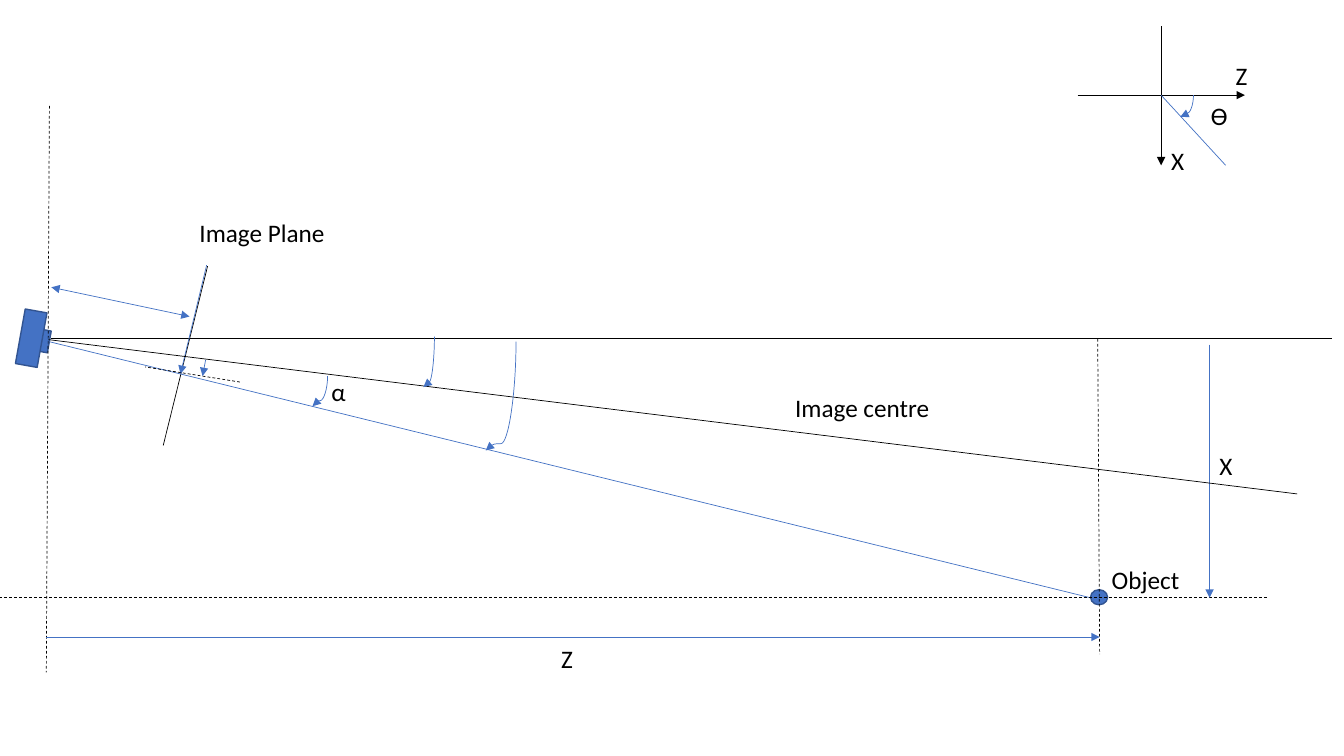
"""Draw the geometry of a tilted camera that sees an object at depth Z and offset X."""
from typing import NamedTuple

from lxml import etree
from pptx import Presentation
from pptx.dml.color import RGBColor
from pptx.enum.dml import MSO_LINE
from pptx.enum.shapes import MSO_CONNECTOR, MSO_SHAPE
from pptx.oxml.ns import qn
from pptx.util import Pt

STRAIGHT, CURVE = MSO_CONNECTOR.STRAIGHT, MSO_CONNECTOR.CURVE
RECTANGLE, OVAL = MSO_SHAPE.RECTANGLE, MSO_SHAPE.OVAL
DASH = MSO_LINE.DASH
COLORS = {"black": "000000", "blue": "4472C4", "outline": "325491"}
FONT = "Calibri"
TEXT_SIZE = 18
LABEL_HEIGHT = 28.8
THIN = 0.5
QUARTER_TURN = 90 * 60000


class Label(NamedTuple):
    text: str
    left: float
    top: float
    width: float
    inset: float = 7.2


class Solid(NamedTuple):
    kind: MSO_SHAPE
    left: float
    top: float
    width: float
    height: float
    tilt: float = 0


class Line(NamedTuple):
    x1: float
    y1: float
    x2: float
    y2: float
    color: str = "black"
    dashed: bool = False
    ends: tuple = ()


class Arc(NamedTuple):
    x1: float
    y1: float
    x2: float
    y2: float
    bend: int


ARROW = ("tailEnd",)
BOTH = ("headEnd", "tailEnd")

LABELS = [
    Label("Z", 875.5, 39.6, 27.4),
    Label("X", 829.4, 100.1, 27.4),
    Label("ϴ", 865, 68.4, 12, 0),
    Label("Image Plane", 135.4, 151.9, 141.1),
    Label("Image centre", 560.9, 276.5, 115.2),
    Label("Object", 787, 399.6, 87.8),
    Label("α", 229.7, 265, 60.5),
    Label("Z", 393.8, 455.8, 25.9),
    Label("X", 864, 318.2, 25.9),
]
SOLIDS = [
    Solid(RECTANGLE, 24.5, 235.4, 10.8, 15.8, 10.2),
    Solid(RECTANGLE, 14.4, 221.8, 15.8, 39.6, 10.2),
    Solid(OVAL, 779, 421.2, 12.2, 10.8),
]
LINES = [
    Line(829.4, 18.7, 829.4, 118.1, ends=ARROW),
    Line(769.7, 68, 889.2, 68, ends=ARROW),
    Line(829.4, 68, 875.5, 118.1, "blue"),
    Line(148.3, 190.1, 116.6, 318.2),
    Line(36.7, 242, 951.8, 242),
    Line(35.3, 244.1, 779, 427),
    Line(36.7, 205.2, 135.4, 226.1, "blue", ends=BOTH),
    Line(35.3, 75.6, 33.1, 480.2, dashed=True),
    Line(784.1, 242, 785.5, 467.3, dashed=True),
    Line(905, 427, 0, 427, dashed=True),
    Line(33.1, 455, 785.5, 455, "blue", ends=ARROW),
    Line(147.6, 189.4, 128.9, 267.1, "blue", ends=ARROW),
    Line(171.4, 272.9, 103.7, 262.1, dashed=True),
    Line(146.9, 257, 144.7, 268.6, "blue", ends=ARROW),
    Line(864, 246.2, 864, 427, "blue", ends=ARROW),
    Line(34.6, 242.6, 926.6, 352.8),
]
LINES[5] = LINES[5]._replace(color="blue")
ARCS = [
    Arc(852.5, 68, 843.1, 83.5, 85000),
    Arc(234, 268.6, 223.2, 290.2, 81700),
    Arc(310.3, 240.5, 302.4, 276.5, 90700),
    Arc(368.6, 244.1, 347, 321.8, 93700),
]


def rgb(name: str) -> RGBColor:
    return RGBColor.from_string(COLORS[name])


def add_label(page, label: Label) -> None:
    box = page.shapes.add_textbox(
        Pt(label.left), Pt(label.top), Pt(label.width), Pt(LABEL_HEIGHT))
    frame = box.text_frame
    frame.word_wrap = True
    frame.margin_left = frame.margin_right = Pt(label.inset)
    frame.text = label.text
    font = frame.paragraphs[0].runs[0].font
    font.name, font.size = FONT, Pt(TEXT_SIZE)
    font.color.rgb = rgb("black")


def add_solid(page, solid: Solid) -> None:
    shape = page.shapes.add_shape(
        solid.kind, Pt(solid.left), Pt(solid.top), Pt(solid.width), Pt(solid.height))
    shape.rotation = solid.tilt
    shape.shadow.inherit = False
    shape.fill.solid()
    shape.fill.fore_color.rgb = rgb("blue")
    shape.line.color.rgb = rgb("outline")
    shape.line.width = Pt(1)


def style_connector(connector, color: str, ends: tuple) -> None:
    connector.line.color.rgb = rgb(color)
    connector.line.width = Pt(THIN)
    properties = connector.line._get_or_add_ln()
    for end in ends:
        etree.SubElement(properties, qn(f"a:{end}"), type="triangle")
    etree.SubElement(connector._element.spPr, qn("a:effectLst"))


def add_line(page, line: Line) -> None:
    connector = page.shapes.add_connector(
        STRAIGHT, Pt(line.x1), Pt(line.y1), Pt(line.x2), Pt(line.y2))
    if line.dashed:
        connector.line.dash_style = DASH
    style_connector(connector, line.color, line.ends)


def add_arc(page, arc: Arc) -> None:
    center_x, center_y = (arc.x1 + arc.x2) / 2, (arc.y1 + arc.y2) / 2
    half_width, half_height = (arc.y2 - arc.y1) / 2, (arc.x1 - arc.x2) / 2
    connector = page.shapes.add_connector(
        CURVE,
        Pt(center_x - half_width), Pt(center_y - half_height),
        Pt(center_x + half_width), Pt(center_y + half_height))
    properties = connector._element.spPr
    properties.find(qn("a:xfrm")).set("rot", str(QUARTER_TURN))
    guides = properties.find(qn("a:prstGeom")).find(qn("a:avLst"))
    etree.SubElement(guides, qn("a:gd"), name="adj1", fmla=f"val {arc.bend}")
    style_connector(connector, "blue", ARROW)


def main() -> None:
    deck = Presentation()
    deck.slide_width, deck.slide_height = Pt(960), Pt(540)
    page = deck.slides.add_slide(deck.slide_layouts[6])
    for label in LABELS:
        add_label(page, label)
    for solid in SOLIDS:
        add_solid(page, solid)
    for line in LINES:
        add_line(page, line)
    for arc in ARCS:
        add_arc(page, arc)
    deck.save("out.pptx")


if __name__ == "__main__":
    main()
